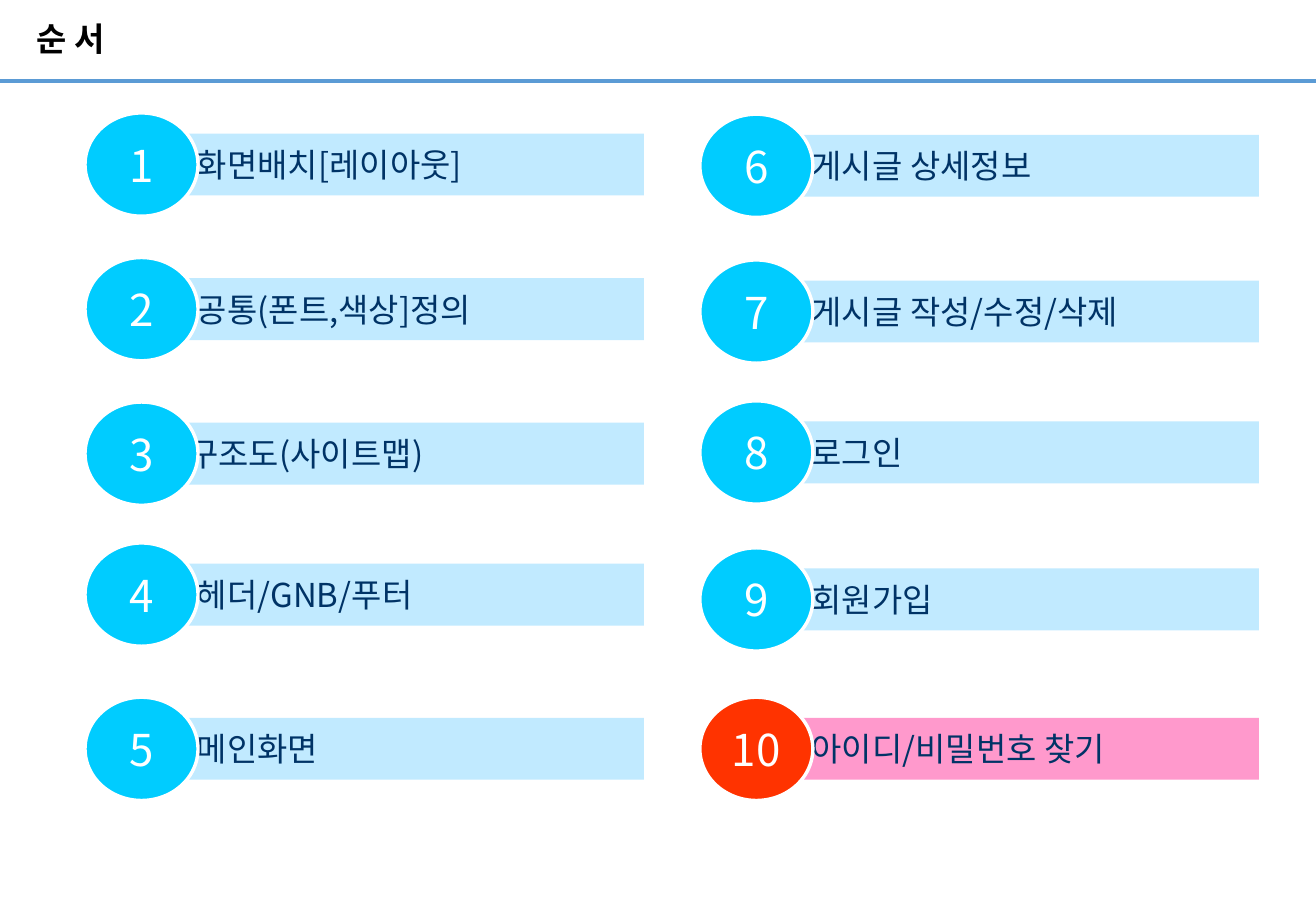
from pptx import Presentation
from pptx.dml.color import RGBColor
from pptx.enum.shapes import MSO_CONNECTOR as Connector, MSO_SHAPE as Shape
from pptx.enum.text import MSO_ANCHOR as Anchor, PP_ALIGN as Align
from pptx.oxml.ns import qn
from pptx.util import Inches, Pt
from lxml.etree import SubElement

COLORS = {
    "ink": "000000",
    "rule": "5B9BD5",
    "bar": "C1EAFF",
    "badge": "00CCFF",
    "label": "003366",
    "white": "FFFFFF",
    "bar_active": "FF99CC",
    "badge_active": "FF3300",
}
HANGUL_FONT = "Noto Sans CJK KR"
BADGE_SIZE = (0.93, 0.85)
BAR_SIZE = (4.23, 0.51)
BAR_OFFSET = (0.37, 0.17)
LABEL_INDENT = 0.55
ACTIVE_NUMBER = 10

COLUMNS = [
    (0.7, [
        (0.93, "화면배치[레이아웃]"),
        (2.12, "공통(폰트,색상]정의"),
        (3.31, "구조도(사이트맵)"),
        (4.47, "헤더/GNB/푸터"),
        (5.74, "메인화면"),
    ]),
    (5.76, [
        (0.94, "게시글 상세정보"),
        (2.14, "게시글 작성/수정/삭제"),
        (3.3, "로그인"),
        (4.51, "회원가입"),
        (5.74, "아이디/비밀번호 찾기"),
    ]),
]
INDENTS = {"구조도(사이트맵)": 0.48}


def color(name):
    return RGBColor.from_string(COLORS[name])


def assign(target, values):
    for attribute, value in values.items():
        setattr(target, attribute, value)


class AgendaSlide:
    title_font = {"name": "Arial", "size": Pt(19.5), "bold": True}
    label_font = {"name": HANGUL_FONT, "size": Pt(19.5)}
    number_font = {"name": HANGUL_FONT, "size": Pt(26)}

    def __init__(self, deck):
        self.slide = deck.slides.add_slide(deck.slide_layouts[5])

    def put_text(self, shape, text, font, ink, align, indent=0, wrap=True):
        frame = shape.text_frame
        assign(frame, {
            "word_wrap": wrap,
            "vertical_anchor": Anchor.MIDDLE,
            "margin_left": Inches(indent),
            "margin_right": 0,
            "margin_top": 0,
            "margin_bottom": 0,
        })
        paragraph = frame.paragraphs[0]
        paragraph.alignment = align
        run = paragraph.add_run()
        run.text = text
        assign(run.font, font)
        run.font.color.rgb = color(ink)
        SubElement(run.font._element, qn("a:ea")).set("typeface", HANGUL_FONT)

    def title(self, text):
        heading = self.slide.shapes.title
        assign(heading, {
            "left": Inches(0.3),
            "top": 0,
            "width": Inches(7.09),
            "height": Inches(0.68),
        })
        self.put_text(heading, text, self.title_font, "ink", Align.LEFT)
        heading.text_frame.paragraphs[0].line_spacing = 0.9

    def rule(self, top, width):
        divider = self.slide.shapes.add_connector(
            Connector.STRAIGHT, 0, Inches(top), Inches(width), Inches(top))
        divider.line.color.rgb = color("rule")
        divider.line.width = Pt(2.25)
        SubElement(divider._element.spPr, qn("a:effectLst"))

    def block(self, preset, left, top, size, fill):
        block = self.slide.shapes.add_shape(
            preset, Inches(left), Inches(top), *map(Inches, size))
        block.shadow.inherit = False
        block.fill.solid()
        block.fill.fore_color.rgb = color(fill)
        block.line.fill.background()
        return block

    def bar(self, left, top, text, fill):
        bar = self.block(Shape.RECTANGLE, left, top, BAR_SIZE, fill)
        self.put_text(bar, text, self.label_font, "label", Align.LEFT,
                      INDENTS.get(text, LABEL_INDENT))

    def badge(self, left, top, number, fill):
        badge = self.block(Shape.OVAL, left, top, BADGE_SIZE, fill)
        badge.line.color.rgb = color("white")
        badge.line.width = Pt(2)
        self.put_text(badge, str(number), self.number_font, "white",
                      Align.CENTER, wrap=False)

    def entry(self, left, top, number, text):
        suffix = "_active" if number == ACTIVE_NUMBER else ""
        self.bar(left + BAR_OFFSET[0], top + BAR_OFFSET[1], text, "bar" + suffix)
        self.badge(left, top, number, "badge" + suffix)


def main():
    deck = Presentation()
    deck.slide_width = Inches(10.83)
    deck.slide_height = Inches(7.5)
    agenda = AgendaSlide(deck)
    agenda.title("순 서")
    agenda.rule(0.67, 10.83)
    entries = [(left, top, text) for left, rows in COLUMNS for top, text in rows]
    for number, (left, top, text) in enumerate(entries, 1):
        agenda.entry(left, top, number, text)
    deck.save("out.pptx")


if __name__ == "__main__":
    main()
